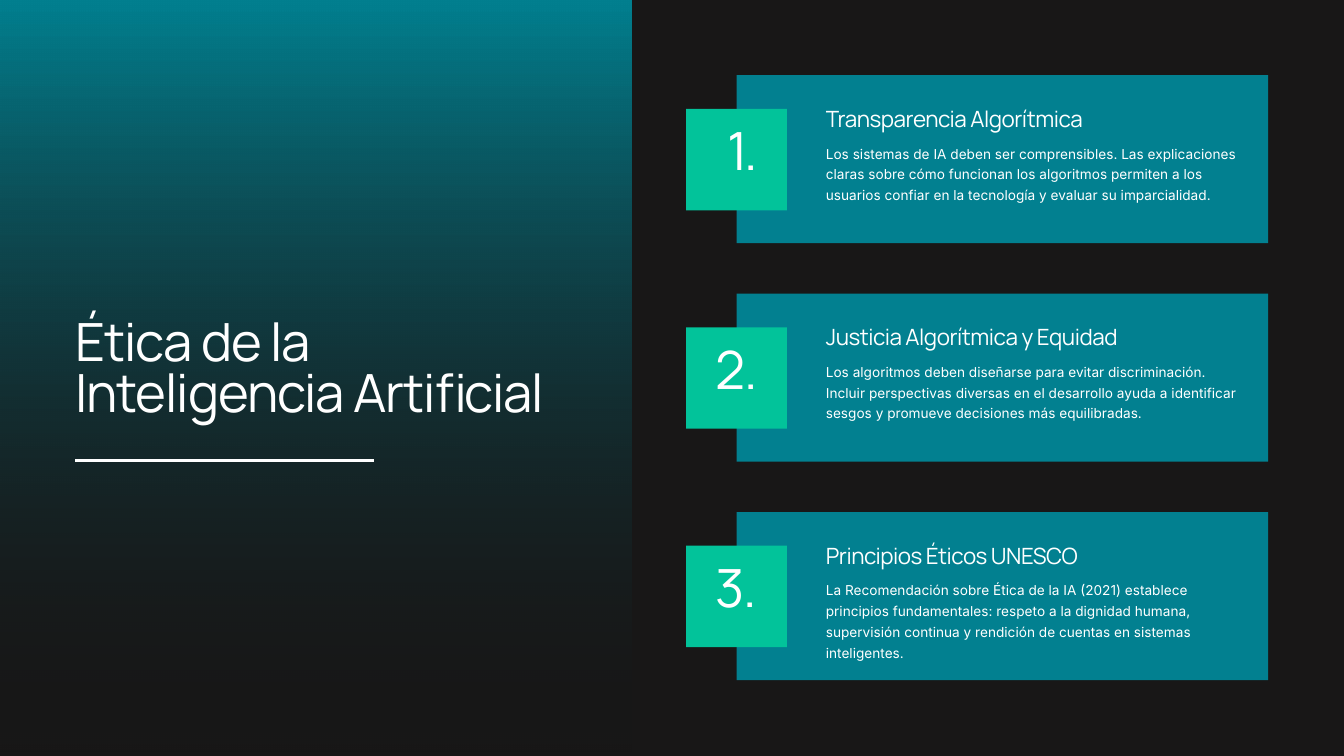
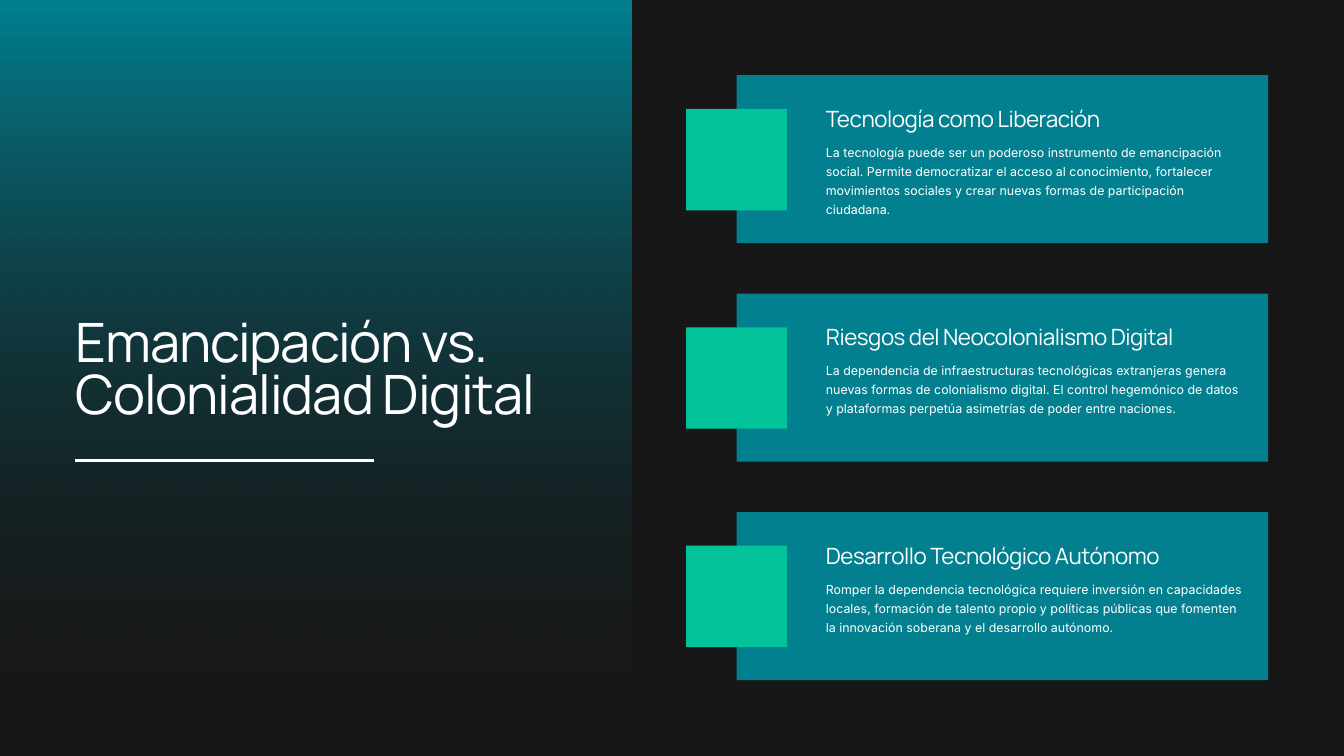
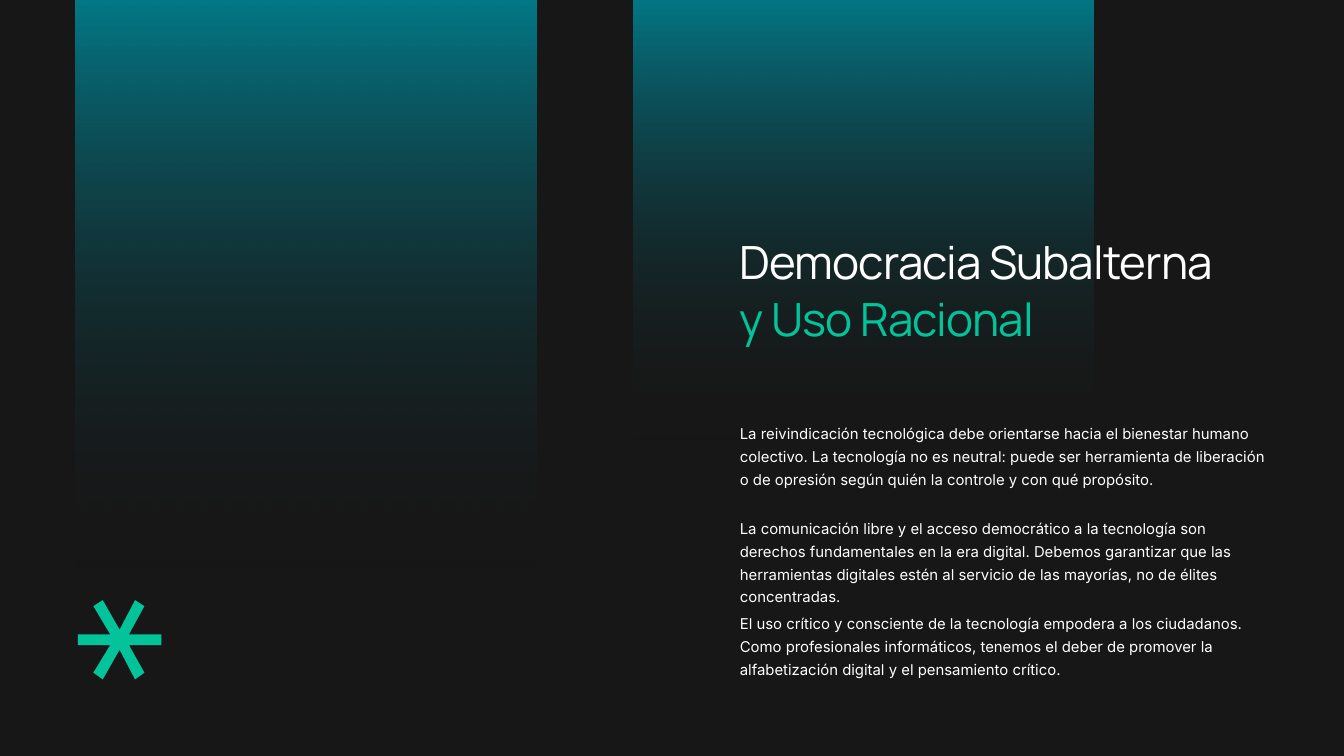
from lxml import etree
from pptx import Presentation
from pptx import util as u
from pptx.dml.color import RGBColor
from pptx.enum import shapes, text
from pptx.oxml.ns import qn

COLORS = {"dark": "181717", "teal": "028090", "green": "02C39A", "white": "FFFFFF"}

# style: font, size, line spacing, letter spacing (all in points)
STYLES = {
    "title": ("Manrope", 56.4, 54.7, -1.1),
    "large title": ("Manrope", 58.1, 56.3, -1.1),
    "closing title": ("Manrope", 49, 47.5, -0.9),
    "heading": ("Manrope", 24, 21.6, -0.5),
    "body": ("Inter", 14.6, 22.2, 0),
    "small body": ("Inter", 13.3, 20.3, 0),
    "closing body": ("Inter", 16, 24.3, 0),
}

MARGIN = 1.12
CARD_PITCH = 3.25
NUMBER_BOXES = [(10.55, 1.01), (10.37, 1.18), (10.36, 1.19)]  # left, width

CARD_SLIDES = [
    {
        "title": "Ética de la Inteligencia Artificial",
        "title style": "title", "title top": 4.78, "title height": 1.6,
        "body style": "body", "numbered": True,
        "cards": [
            ("Transparencia Algorítmica",
             "Los sistemas de IA deben ser comprensibles. Las explicaciones claras sobre cómo "
             "funcionan los algoritmos permiten a los usuarios confiar en la tecnología y evaluar "
             "su imparcialidad."),
            ("Justicia Algorítmica y Equidad",
             "Los algoritmos deben diseñarse para evitar discriminación. Incluir perspectivas "
             "diversas en el desarrollo ayuda a identificar sesgos y promueve decisiones más "
             "equilibradas."),
            ("Principios Éticos UNESCO",
             "La Recomendación sobre Ética de la IA (2021) establece principios fundamentales: "
             "respeto a la dignidad humana, supervisión continua y rendición de cuentas en "
             "sistemas inteligentes."),
        ],
    },
    {
        "title": "Emancipación vs. Colonialidad Digital",
        "title style": "large title", "title top": 4.77, "title height": 1.68,
        "body style": "small body", "numbered": False,
        "cards": [
            ("Tecnología como Liberación",
             "La tecnología puede ser un poderoso instrumento de emancipación social. Permite "
             "democratizar el acceso al conocimiento, fortalecer movimientos sociales y crear "
             "nuevas formas de participación ciudadana."),
            ("Riesgos del Neocolonialismo Digital",
             "La dependencia de infraestructuras tecnológicas extranjeras genera nuevas formas de "
             "colonialismo digital. El control hegemónico de datos y plataformas perpetúa "
             "asimetrías de poder entre naciones."),
            ("Desarrollo Tecnológico Autónomo",
             "Romper la dependencia tecnológica requiere inversión en capacidades locales, "
             "formación de talento propio y políticas públicas que fomenten la innovación soberana "
             "y el desarrollo autónomo."),
        ],
    },
]

CLOSING_TITLES = [("Democracia Subalterna", "white"), ("y Uso Racional", "green")]
CLOSING_PARAGRAPHS = [
    "La reivindicación tecnológica debe orientarse hacia el bienestar humano colectivo. La "
    "tecnología no es neutral: puede ser herramienta de liberación o de opresión según quién la "
    "controle y con qué propósito.",
    "La comunicación libre y el acceso democrático a la tecnología son derechos fundamentales en "
    "la era digital. Debemos garantizar que las herramientas digitales estén al servicio de las "
    "mayorías, no de élites concentradas.",
    "El uso crítico y consciente de la tecnología empodera a los ciudadanos. Como profesionales "
    "informáticos, tenemos el deber de promover la alfabetización digital y el pensamiento "
    "crítico.",
]

# Outline of the asterisk, in hundredths of an inch on the slide
ASTERISK = [
    (215, 902), (192, 944), (240, 944), (240, 960), (192, 960), (215, 1001),
    (201, 1011), (178, 967), (153, 1011), (139, 1001), (164, 960), (116, 960),
    (116, 944), (164, 944), (139, 902), (153, 893), (178, 937), (201, 893),
]


def add_rectangle(slide, left, top, width, height, color, fading=False):
    """Add a borderless rectangle, optionally fading to transparent at its foot."""
    shape = slide.shapes.add_shape(
        shapes.MSO_SHAPE.RECTANGLE,
        u.Inches(left), u.Inches(top), u.Inches(width), u.Inches(height))
    shape.shadow.inherit = False
    shape.line.fill.background()
    if fading:
        shape.fill.gradient()
        shape.fill.gradient_angle = 270
        first, last = shape.fill.gradient_stops
        first.position, last.position = 0, 1
        first.color.rgb = RGBColor.from_string(COLORS[color])
        last.color.rgb = RGBColor.from_string(COLORS["dark"])
        dark = shape.fill._fill._gradFill.findall(".//" + qn("a:srgbClr"))[-1]
        etree.SubElement(dark, qn("a:alpha")).set("val", "0")
    else:
        shape.fill.solid()
        shape.fill.fore_color.rgb = RGBColor.from_string(COLORS[color])


def add_text(slide, left, top, width, height, content, style, color="white", align=None):
    font_name, size, line_spacing, letter_spacing = STYLES[style]
    box = slide.shapes.add_textbox(
        u.Inches(left), u.Inches(top), u.Inches(width), u.Inches(height))
    frame = box.text_frame
    frame.word_wrap = True
    frame.auto_size = text.MSO_AUTO_SIZE.SHAPE_TO_FIT_TEXT
    frame.margin_left = frame.margin_right = frame.margin_top = frame.margin_bottom = 0
    paragraph = frame.paragraphs[0]
    paragraph.line_spacing = u.Pt(line_spacing)
    paragraph.alignment = align
    run = paragraph.add_run()
    run.text = content
    run.font.name = font_name
    run.font.size = u.Pt(size)
    run.font.color.rgb = RGBColor.from_string(COLORS[color])
    if letter_spacing:
        run.font._element.set("spc", str(round(letter_spacing * 100)))


presentation = Presentation()
presentation.slide_width = u.Inches(20)
presentation.slide_height = u.Inches(11.25)

slides = []
for _ in range(3):
    slide = presentation.slides.add_slide(presentation.slide_layouts[6])
    slide.background.fill.solid()
    slide.background.fill.fore_color.rgb = RGBColor.from_string(COLORS["dark"])
    slides.append(slide)

# Two slides with a title panel and three cards
for slide, content in zip(slides, CARD_SLIDES):
    add_rectangle(slide, 0, 0, 9.39, 11.25, "teal", fading=True)
    add_text(slide, MARGIN, content["title top"], 7.61, content["title height"],
             content["title"], content["title style"])

    for index, (heading, body) in enumerate(content["cards"]):
        top = MARGIN + index * CARD_PITCH
        add_rectangle(slide, 10.96, top, 7.91, 2.5, "teal")
        add_rectangle(slide, 10.21, top + 0.5, 1.5, 1.51, "green")
        add_text(slide, 12.29, top + 0.98, 6.26, 0.89, body, content["body style"])
        add_text(slide, 12.29, top + 0.54, 6.09, 0.34, heading, "heading")
        if content["numbered"]:
            left, width = NUMBER_BOXES[index]
            add_text(slide, left, top + 0.82, width, 0.85, f"{index + 1}.", "title",
                     align=text.PP_ALIGN.CENTER)

    rule = slide.shapes.add_connector(
        shapes.MSO_CONNECTOR.STRAIGHT,
        u.Inches(MARGIN), u.Inches(6.85), u.Inches(5.57), u.Inches(6.85))
    rule.line.color.rgb = RGBColor.from_string(COLORS["white"])
    rule.line.width = u.Pt(3)
    etree.SubElement(rule._element.spPr, qn("a:effectLst"))

# Closing slide
closing = slides[2]
for left, height in [(MARGIN, 8.8), (9.42, 6.92)]:
    add_rectangle(closing, left, -0.33, 6.86, height, "teal", fading=True)
for index, content in enumerate(CLOSING_PARAGRAPHS):
    add_text(closing, 11.01, 6.25 + index * 1.415, 7.87, 0.99, content, "closing body")
for index, (content, color) in enumerate(CLOSING_TITLES):
    add_text(closing, 11.01, 3.64 + index * 0.84, 7.87, 0.74, content, "closing title", color)

builder = closing.shapes.build_freeform(*ASTERISK[0], scale=u.Inches(1) / 100)
builder.add_line_segments(ASTERISK[1:], close=True)
asterisk = builder.convert_to_shape()
asterisk.shadow.inherit = False
asterisk.fill.solid()
asterisk.fill.fore_color.rgb = RGBColor.from_string(COLORS["green"])
asterisk.line.fill.background()

presentation.save("out.pptx")
